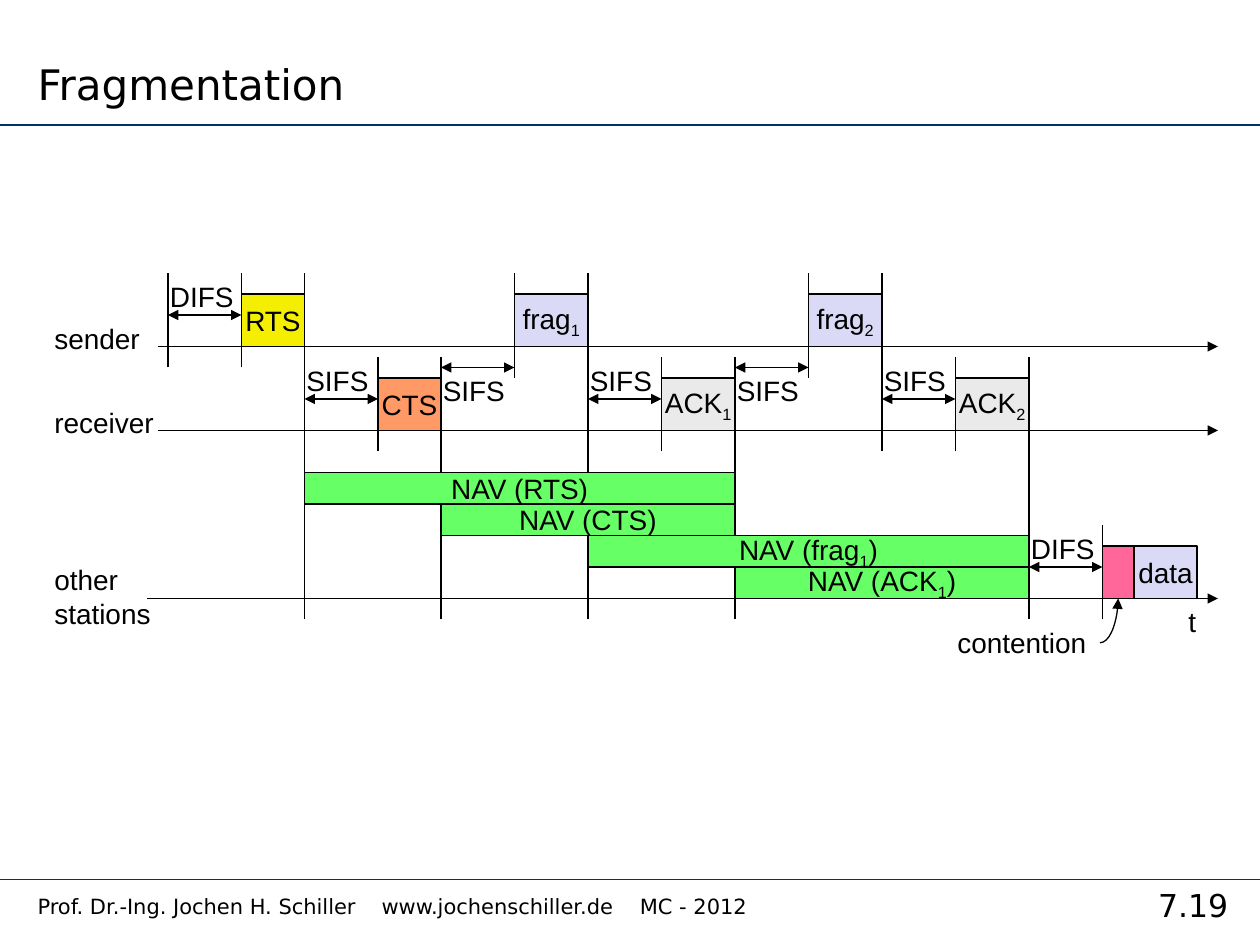
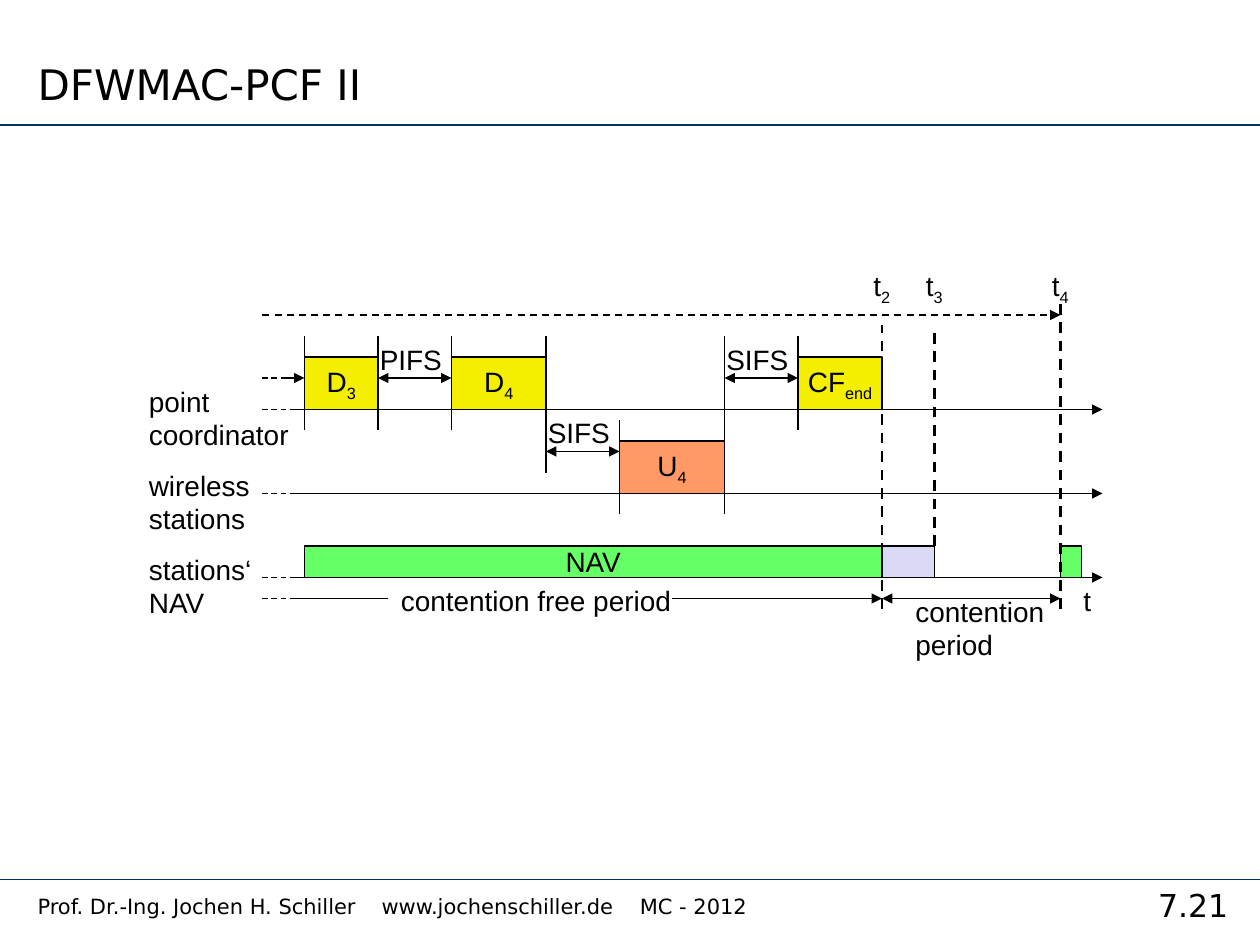
from dataclasses import dataclass
from typing import Any

import pptx
import pptx.dml.color
import pptx.enum.dml
import pptx.enum.shapes
import pptx.enum.text
import pptx.oxml
import pptx.oxml.ns
import pptx.util

Inches = pptx.util.Inches
CONNECTOR = pptx.enum.shapes.MSO_CONNECTOR
ALIGN = pptx.enum.text.PP_ALIGN
ANCHOR = pptx.enum.text.MSO_ANCHOR
FIT = pptx.enum.text.MSO_AUTO_SIZE

COLOURS = {
    "ink": "000000", "rule": "003366", "lilac": "DADAF6", "grey": "EAEAEA",
    "yellow": "F4EE00", "orange": "FF9966", "green": "66FF66", "pink": "FF6699",
}
FONTS = {"frame": "DejaVu Sans", "diagram": "Arial"}
GAP_WIDTH = 7
GAP_LABEL_WIDTHS = {"SIFS": 0.69, "PIFS": 0.69, "DIFS": 0.71}
FOOTER = "Prof. Dr.-Ing. Jochen H. Schiller\twww.jochenschiller.de\tMC - 2012"
FOOTER_TABS = (2.73, 4.78)


# Diagram elements; their positions count twelfths of an inch
@dataclass
class Frame:
    text: str
    x: int
    y: int
    width: int
    height: int
    colour: str


@dataclass
class Label:
    text: str
    x: int
    y: int
    width: float  # inches


@dataclass
class Gap:
    text: str
    x: int
    y: int
    label_y: int


@dataclass
class Line:
    x1: int
    y1: int
    x2: int
    y2: int
    head: bool = False
    tail: bool = False
    dashed: bool = False
    weight: float = 0.75


def grid(steps: float) -> int:
    return Inches(steps / 12)


def colour(name: str) -> pptx.dml.color.RGBColor:
    return pptx.dml.color.RGBColor.from_string(COLOURS[name])


def apply(target: Any, values: dict[str, Any]) -> None:
    for name, value in values.items():
        setattr(target, name, value)


# Text: parts between underscores are subscripts
def write(box: Any, text: str, size: int, font: str, align: Any = ALIGN.LEFT, **layout: Any) -> None:
    apply(box.text_frame, layout)
    for index, line in enumerate(text.split("\n")):
        para = box.text_frame.paragraphs[0] if index == 0 else box.text_frame.add_paragraph()
        para.alignment = align
        for part_index, part in enumerate(line.split("_")):
            if not part:
                continue
            span = para.add_run()
            span.text = part
            apply(span.font, {"size": pptx.util.Pt(size), "name": FONTS[font]})
            span.font.color.rgb = colour("ink")
            if part_index % 2:
                span._r.get_or_add_rPr().set("baseline", "-25000")


def add_text(page: Any, left: float, top: float, width: float, height: float) -> Any:
    return page.shapes.add_textbox(*map(Inches, (left, top, width, height)))


def add_label(page: Any, label: Label) -> Any:
    height = 0.64 if "\n" in label.text else 0.37
    box = add_text(page, label.x / 12, label.y / 12, label.width, height)
    write(box, label.text, 16, "diagram", word_wrap=False, auto_size=FIT.SHAPE_TO_FIT_TEXT)
    return box


# Lines and arrows
def style_line(connector: Any, line_colour: str, weight: float, head: bool = False,
               tail: bool = False, dashed: bool = False) -> None:
    connector.line.width = pptx.util.Pt(weight)
    connector.line.color.rgb = colour(line_colour)
    if dashed:
        connector.line.dash_style = pptx.enum.dml.MSO_LINE.DASH
    outline = connector.line._get_or_add_ln()
    for tag, wanted in (("a:headEnd", head), ("a:tailEnd", tail)):
        if wanted:
            end = pptx.oxml.parse_xml(f'<{tag} {pptx.oxml.ns.nsdecls("a")} type="triangle"/>')
            outline.append(end)
    no_shadow = pptx.oxml.parse_xml(f'<a:effectLst {pptx.oxml.ns.nsdecls("a")}/>')
    connector._element.spPr.append(no_shadow)


def add_line(page: Any, line: Line) -> None:
    ends = map(grid, (line.x1, line.y1, line.x2, line.y2))
    connector = page.shapes.add_connector(CONNECTOR.STRAIGHT, *ends)
    style_line(connector, "ink", line.weight, line.head, line.tail, line.dashed)


def add_marks(page: Any, marks: list[tuple[int, int, int]], **style: Any) -> None:
    for x, top, bottom in marks:
        add_line(page, Line(x, bottom, x, top, **style))


def add_gap(page: Any, gap: Gap) -> None:
    add_line(page, Line(gap.x, gap.y, gap.x + GAP_WIDTH, gap.y, head=True, tail=True))
    add_label(page, Label(gap.text, gap.x - 1, gap.label_y, GAP_LABEL_WIDTHS[gap.text]))


def add_frame(page: Any, frame: Frame) -> Any:
    place = map(grid, (frame.x, frame.y, frame.width, frame.height))
    shape = page.shapes.add_shape(pptx.enum.shapes.MSO_SHAPE.RECTANGLE, *place)
    shape.shadow.inherit = False
    shape.fill.solid()
    shape.fill.fore_color.rgb = colour(frame.colour)
    shape.line.color.rgb = colour("ink")
    shape.line.width = pptx.util.Pt(0.75)
    if frame.text:
        write(shape, frame.text, 16, "diagram", ALIGN.CENTER, word_wrap=False,
              vertical_anchor=ANCHOR.MIDDLE)
    return shape


# Title, rules and footer of every slide
def add_page(deck: Any, title: str, number: str) -> Any:
    page = deck.slides.add_slide(deck.slide_layouts[6])
    for y in (0.99, 6.98):
        rule = page.shapes.add_connector(CONNECTOR.STRAIGHT, 0, Inches(y), Inches(10), Inches(y))
        style_line(rule, "rule", 1)
    fixed = {"word_wrap": True, "auto_size": FIT.NONE}
    write(add_text(page, 8.94, 6.98, 1.06, 0.4), number, 18, "frame", ALIGN.CENTER, **fixed)
    footer = add_text(page, 0.2, 7.04, 8.74, 0.33)
    stops = "".join(f'<a:tab pos="{Inches(stop)}" algn="l"/>' for stop in FOOTER_TABS)
    tabs = pptx.oxml.parse_xml(f'<a:tabLst {pptx.oxml.ns.nsdecls("a")}>{stops}</a:tabLst>')
    footer.text_frame.paragraphs[0]._p.get_or_add_pPr().append(tabs)
    write(footer, FOOTER, 12, "frame", **fixed)
    write(add_text(page, 0.2, 0, 6.61, 0.91), title, 24, "frame",
          vertical_anchor=ANCHOR.BOTTOM, **fixed)
    return page


def build_fragmentation(deck: Any) -> None:
    page = add_page(deck, "Fragmentation", "7.19")

    # Time axes and marks
    for start, y in ((15, 33), (15, 41), (14, 57)):
        add_line(page, Line(start, y, 116, y, tail=True))
    add_marks(page, [
        (16, 26, 35), (23, 26, 35), (29, 26, 59), (36, 34, 43), (42, 34, 59),
        (49, 26, 36), (56, 26, 59), (63, 34, 43), (70, 34, 59), (77, 26, 36),
        (84, 26, 43), (91, 34, 43), (98, 34, 59), (105, 50, 59),
    ])

    # Sent frames and reserved periods
    for frame in (
        Frame("RTS", 23, 28, 6, 5, "yellow"),
        Frame("CTS", 36, 36, 6, 5, "orange"),
        Frame("frag_1", 49, 28, 7, 5, "lilac"),
        Frame("ACK_1", 63, 36, 7, 5, "grey"),
        Frame("frag_2", 77, 28, 7, 5, "lilac"),
        Frame("ACK_2", 91, 36, 7, 5, "grey"),
        Frame("data", 108, 52, 6, 5, "lilac"),
    ):
        add_frame(page, frame)
    reservations = (("RTS", 29, 70), ("CTS", 42, 70), ("frag_1_", 56, 98), ("ACK_1_", 70, 98))
    for row, (cause, start, end) in enumerate(reservations):
        add_frame(page, Frame(f"NAV ({cause})", start, 45 + 3 * row, end - start, 3, "green"))

    # Gaps and labels
    for gap in (
        Gap("DIFS", 16, 30, 26), Gap("SIFS", 29, 38, 34), Gap("SIFS", 42, 35, 35),
        Gap("SIFS", 56, 38, 34), Gap("SIFS", 70, 35, 35), Gap("SIFS", 84, 38, 34),
        Gap("DIFS", 98, 54, 50),
    ):
        add_gap(page, gap)
    for label in (
        Label("sender", 4, 30, 0.88), Label("receiver", 4, 38, 0.99),
        Label("other\nstations", 4, 53, 0.97), Label("t", 112, 57, 0.26),
    ):
        add_label(page, label)

    # Contention window with its pointer
    window = add_frame(page, Frame("", 105, 52, 3, 5, "pink"))
    contention = add_label(page, Label("contention", 90, 59, 1.23))
    pointer = page.shapes.add_connector(
        CONNECTOR.CURVE, Inches(8.73), Inches(5.1), grid(106.5), grid(57))
    pointer._element.spPr.prstGeom.set("prst", "curvedConnector2")
    pointer.begin_connect(contention, 3)
    pointer.end_connect(window, 2)
    style_line(pointer, "ink", 0.75, tail=True)


def build_pcf(deck: Any) -> None:
    page = add_page(deck, "DFWMAC-PCF II", "7.21")

    # Time axes, their dashed beginnings and marks
    for y in (39, 47, 55):
        add_line(page, Line(28, y, 105, y, tail=True))
    for y in (36, 39, 47, 55, 57):
        add_line(page, Line(25, y, 28, y, dashed=True))
    add_marks(page, [
        (29, 32, 41), (36, 32, 41), (43, 32, 41), (52, 32, 45),
        (59, 40, 49), (69, 32, 49), (76, 32, 41),
    ])

    # Frames and reserved periods
    for frame in (
        Frame("D_3", 29, 34, 7, 5, "yellow"),
        Frame("D_4", 43, 34, 9, 5, "yellow"),
        Frame("U_4", 59, 42, 10, 5, "orange"),
        Frame("CF_end", 76, 34, 8, 5, "yellow"),
        Frame("NAV", 29, 52, 55, 3, "green"),
        Frame("", 84, 52, 5, 3, "lilac"),
        Frame("", 101, 52, 2, 3, "green"),
    ):
        add_frame(page, frame)

    # Period limits and spans
    add_marks(page, [(84, 31, 58), (89, 31, 52), (101, 29, 58)], dashed=True, weight=1.5)
    for line in (
        Line(25, 30, 101, 30, tail=True, dashed=True, weight=1),
        Line(27, 36, 29, 36, tail=True),
        Line(37, 57, 28, 57),
        Line(64, 57, 84, 57, tail=True),
        Line(84, 57, 101, 57, head=True, tail=True),
    ):
        add_line(page, line)

    # Gaps and labels
    for gap in (Gap("PIFS", 36, 36, 32), Gap("SIFS", 52, 43, 39), Gap("SIFS", 69, 36, 32)):
        add_gap(page, gap)
    for label in (
        Label("point\ncoordinator", 13, 36, 1.31),
        Label("wireless\nstations", 13, 44, 1),
        Label("stations‘\nNAV", 13, 52, 1.02),
        Label("contention free period", 37, 55, 2.35),
        Label("contention\nperiod", 86, 56, 1.23),
        Label("t", 102, 55, 0.26),
        Label("t_2", 82, 25, 0.35),
        Label("t_3", 87, 25, 0.35),
        Label("t_4", 99, 25, 0.35),
    ):
        add_label(page, label)


def main() -> None:
    deck = pptx.Presentation()
    apply(deck, {"slide_width": Inches(10), "slide_height": Inches(7.5)})
    build_fragmentation(deck)
    build_pcf(deck)
    deck.save("out.pptx")


if __name__ == "__main__":
    main()
